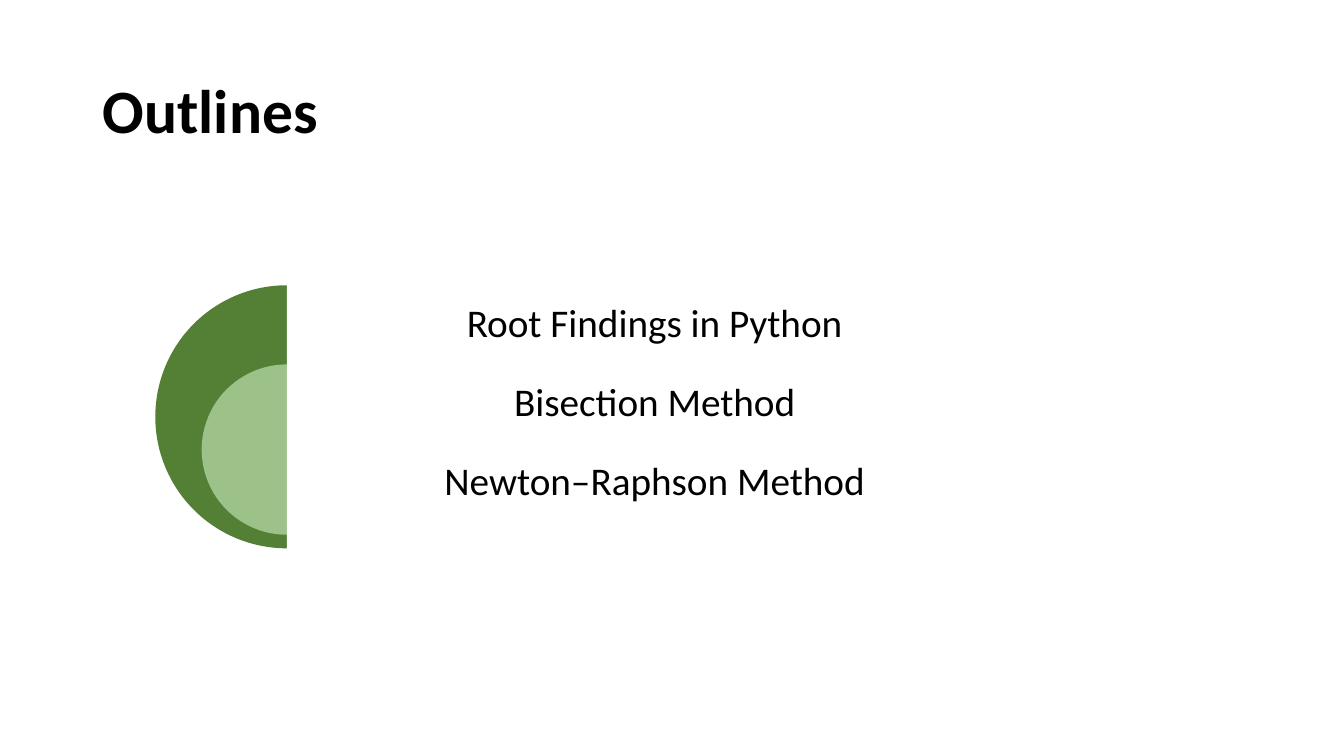
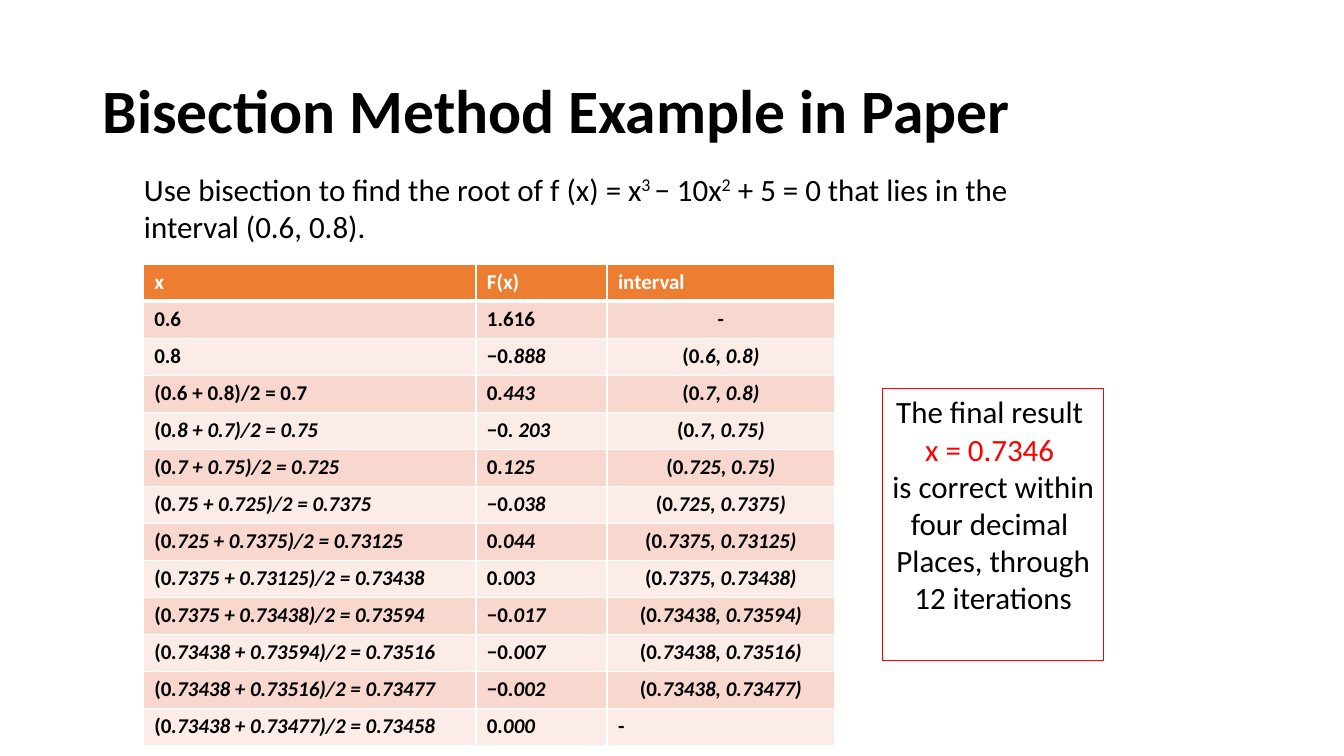
from collections import namedtuple

from lxml import etree
from pptx import Presentation
from pptx import util as u
from pptx.dml.color import RGBColor
from pptx.enum import shapes, text
from pptx.oxml.ns import qn

Box = namedtuple("Box", "left top width height")

FONT = "Calibri"
BLACK, WHITE, RED = "000000", "FFFFFF", "FF0000"
DARK_GREEN, LIGHT_GREEN = "538035", "9CC189"
ORANGE, BAND_DARK, BAND_LIGHT = "ED7D31", "F8D7CE", "FCECE8"
BODY_SIZE = 22.1

TITLE_BOX = Box(0.92, 0.4, 11.5, 1.45)
OUTLINE_BOX = Box(1.54, 2.83, 8.6, 2.61)
TASK_BOX = Box(1.33, 1.64, 9.67, 0.84)
TABLE_BOX = Box(1.42, 2.62, 6.86, 4.78)
RESULT_BOX = Box(8.75, 3.85, 2.2, 2.7)

TOPICS = ["Root Findings in Python", "Bisection Method", "Newton–Raphson Method"]
COLUMN_WIDTHS = [3.3, 1.3, 2.26]
HEADINGS = ["x", "F(x)", "interval"]
# The part of a value after "|" is italic.
STEPS = [
    ("0.6", "1.616", "-"),
    ("0.8", "−0|.888", "(0|.6, 0.8)"),
    ("(0.6 + 0.8)/2 = 0.7", "0|.443", "(0|.7, 0.8)"),
    ("(0|.8 + 0.7)/2 = 0.75", "−0|. 203", "(0|.7, 0.75)"),
    ("(0|.7 + 0.75)/2 = 0.725", "0|.125", "(0|.725, 0.75)"),
    ("(0|.75 + 0.725)/2 = 0.7375", "−0|.038", "(0|.725, 0.7375)"),
    ("(0|.725 + 0.7375)/2 = 0.73125", "0|.044", "(0|.7375, 0.73125)"),
    ("(0|.7375 + 0.73125)/2 = 0.73438", "0|.003", "(0|.7375, 0.73438)"),
    ("(0|.7375 + 0.73438)/2 = 0.73594", "−0|.017", "(0|.73438, 0.73594)"),
    ("(0|.73438 + 0.73594)/2 = 0.73516", "−0|.007", "(0|.73438, 0.73516)"),
    ("(0|.73438 + 0.73516)/2 = 0.73477", "−0|.002", "(0|.73438, 0.73477)"),
    ("(0|.73438 + 0.73477)/2 = 0.73458", "0|.000", "-"),
]


def color(value):
    """Turn a hex string into a colour."""
    return RGBColor.from_string(value)


def inches(box):
    """Turn a box into the four lengths that python-pptx takes."""
    return [u.Inches(length) for length in box]


def add_run(paragraph, words, size, fill=BLACK, bold=False, italic=False, raised=False):
    """Add one formatted run to a paragraph."""
    run = paragraph.add_run()
    run.text = words
    font = run.font
    font.name, font.size, font.bold, font.italic = FONT, u.Pt(size), bold, italic
    font.color.rgb = color(fill)
    if raised:
        run._r.get_or_add_rPr().set("baseline", "30000")


def add_plain_shape(parent, kind, box, fill=None, line=None):
    """Add a shape without shadow, filled or outlined as asked."""
    shape = parent.shapes.add_shape(kind, *inches(box))
    shape.shadow.inherit = False
    if fill:
        shape.fill.solid()
        shape.fill.fore_color.rgb = color(fill)
    else:
        shape.fill.background()
    if line:
        shape.line.color.rgb = color(line)
        shape.line.width = u.Pt(0.75)
    else:
        shape.line.fill.background()
    return shape


def add_text_box(parent, box, inset=None):
    """Add a wrapping text box and return its text frame."""
    frame = parent.shapes.add_textbox(*inches(box)).text_frame
    frame.word_wrap = True
    if inset is not None:
        frame.margin_left = frame.margin_right = u.Inches(inset)
        frame.margin_top = frame.margin_bottom = u.Inches(inset)
    return frame


def add_titled_slide(presentation, title):
    """Add a title-only slide with the shared title style."""
    slide = presentation.slides.add_slide(presentation.slide_layouts[5])
    placeholder = slide.shapes.title
    (placeholder.left, placeholder.top,
     placeholder.width, placeholder.height) = inches(TITLE_BOX)
    frame = placeholder.text_frame
    frame.auto_size = text.MSO_AUTO_SIZE.NONE
    frame.vertical_anchor = text.MSO_ANCHOR.MIDDLE
    paragraph = frame.paragraphs[0]
    paragraph.alignment = text.PP_ALIGN.LEFT
    paragraph.line_spacing = 0.9
    add_run(paragraph, title, 44, bold=True)
    return slide


def add_outline(slide, box, topics):
    """Draw nested half discs, each with a pale panel and a topic."""
    group = slide.shapes.add_group_shape()
    center = box.left + box.height / 2
    panel_width = box.left + box.width - center
    step = 0.785
    diameters = [box.height, 1.69, 0.78]
    fills = [DARK_GREEN, LIGHT_GREEN, LIGHT_GREEN]
    for index, (topic, diameter, fill) in enumerate(zip(topics, diameters, fills)):
        top = box.top + index * step
        disc = add_plain_shape(group, shapes.MSO_SHAPE.PIE,
                               Box(center - diameter / 2, top, diameter, diameter), fill)
        disc.adjustments[0], disc.adjustments[1] = 54, 162

        panel = add_plain_shape(group, shapes.MSO_SHAPE.RECTANGLE,
                                Box(center, top, panel_width, diameter), WHITE)
        tint = panel.fill._xPr.find(qn("a:solidFill"))[0]
        etree.SubElement(tint, qn("a:alpha"), val="90000")

        frame = add_text_box(group, Box(center, top, panel_width, step), 0.12)
        frame.vertical_anchor = text.MSO_ANCHOR.MIDDLE
        paragraph = frame.paragraphs[0]
        paragraph.alignment = text.PP_ALIGN.CENTER
        paragraph.line_spacing = 0.9
        add_run(paragraph, topic, 28)


def add_task(slide, box):
    """Write the task with its raised exponents."""
    paragraph = add_text_box(slide, box).paragraphs[0]
    parts = ["Use bisection to find the root of f (x) = x", "3 ", "− 10x", "2",
             " + 5 = 0 that lies in the interval (0.6, 0.8)."]
    for index, words in enumerate(parts):
        add_run(paragraph, words, BODY_SIZE, raised=index % 2 == 1)


def set_borders(cell, bottom_width):
    """Give a cell white borders, one point wide except at the bottom."""
    properties = cell._tc.get_or_add_tcPr()
    for side, width in (("L", 1), ("R", 1), ("T", 1), ("B", bottom_width)):
        line = etree.SubElement(properties, qn("a:ln" + side), w=str(u.Pt(width)))
        fill = etree.SubElement(line, qn("a:solidFill"))
        etree.SubElement(fill, qn("a:srgbClr"), val=WHITE)


def fill_cell(cell, value, fill, font_fill, centered, bottom_width):
    """Format one cell and write its upright and italic parts."""
    set_borders(cell, bottom_width)
    cell.fill.solid()
    cell.fill.fore_color.rgb = color(fill)
    cell.margin_left = cell.margin_right = u.Inches(0.11)
    cell.margin_top = cell.margin_bottom = u.Inches(0.05)
    paragraph = cell.text_frame.paragraphs[0]
    if centered:
        paragraph.alignment = text.PP_ALIGN.CENTER
    for index, words in enumerate(value.split("|")):
        add_run(paragraph, words, 15, font_fill, bold=True, italic=index == 1)


def add_steps_table(slide, box, headings, steps):
    """Add the banded table of bisection steps."""
    rows = [headings] + steps
    table = slide.shapes.add_table(len(rows), len(headings), *inches(box)).table
    for column, width in zip(table.columns, COLUMN_WIDTHS):
        column.width = u.Inches(width)
    last = len(rows) - 1
    for row_index, values in enumerate(rows):
        table.rows[row_index].height = u.Inches(box.height / len(rows))
        header = row_index == 0
        band = BAND_DARK if row_index % 2 else BAND_LIGHT
        for column_index, value in enumerate(values):
            fill_cell(table.cell(row_index, column_index), value,
                      fill=ORANGE if header else band,
                      font_fill=WHITE if header else BLACK,
                      centered=column_index == 2 and 0 < row_index < last,
                      bottom_width=3 if header else 1)


def add_result(slide, box):
    """Add the outlined box with the final result."""
    shape = add_plain_shape(slide, shapes.MSO_SHAPE.RECTANGLE, box, line=RED)
    frame = shape.text_frame
    frame.word_wrap = True
    frame.vertical_anchor = text.MSO_ANCHOR.TOP
    lines = [("The final result ", BLACK), ("x = 0.7346 ", RED),
             ("is correct within four decimal ", BLACK),
             ("Places, through 12 iterations", BLACK)]
    for index, (words, fill) in enumerate(lines):
        paragraph = frame.add_paragraph() if index else frame.paragraphs[0]
        paragraph.alignment = text.PP_ALIGN.CENTER
        add_run(paragraph, words, BODY_SIZE, fill)


def build_outline_slide(presentation):
    """Build the slide that lists the topics."""
    slide = add_titled_slide(presentation, "Outlines")
    add_outline(slide, OUTLINE_BOX, TOPICS)


def build_example_slide(presentation):
    """Build the slide with the worked example."""
    slide = add_titled_slide(presentation, "Bisection Method Example in Paper")
    add_task(slide, TASK_BOX)
    add_steps_table(slide, TABLE_BOX, HEADINGS, STEPS)
    add_result(slide, RESULT_BOX)


def main():
    """Build and save the presentation."""
    presentation = Presentation()
    presentation.slide_width = u.Inches(13.33)
    presentation.slide_height = u.Inches(7.5)
    build_outline_slide(presentation)
    build_example_slide(presentation)
    presentation.save("out.pptx")


main()
